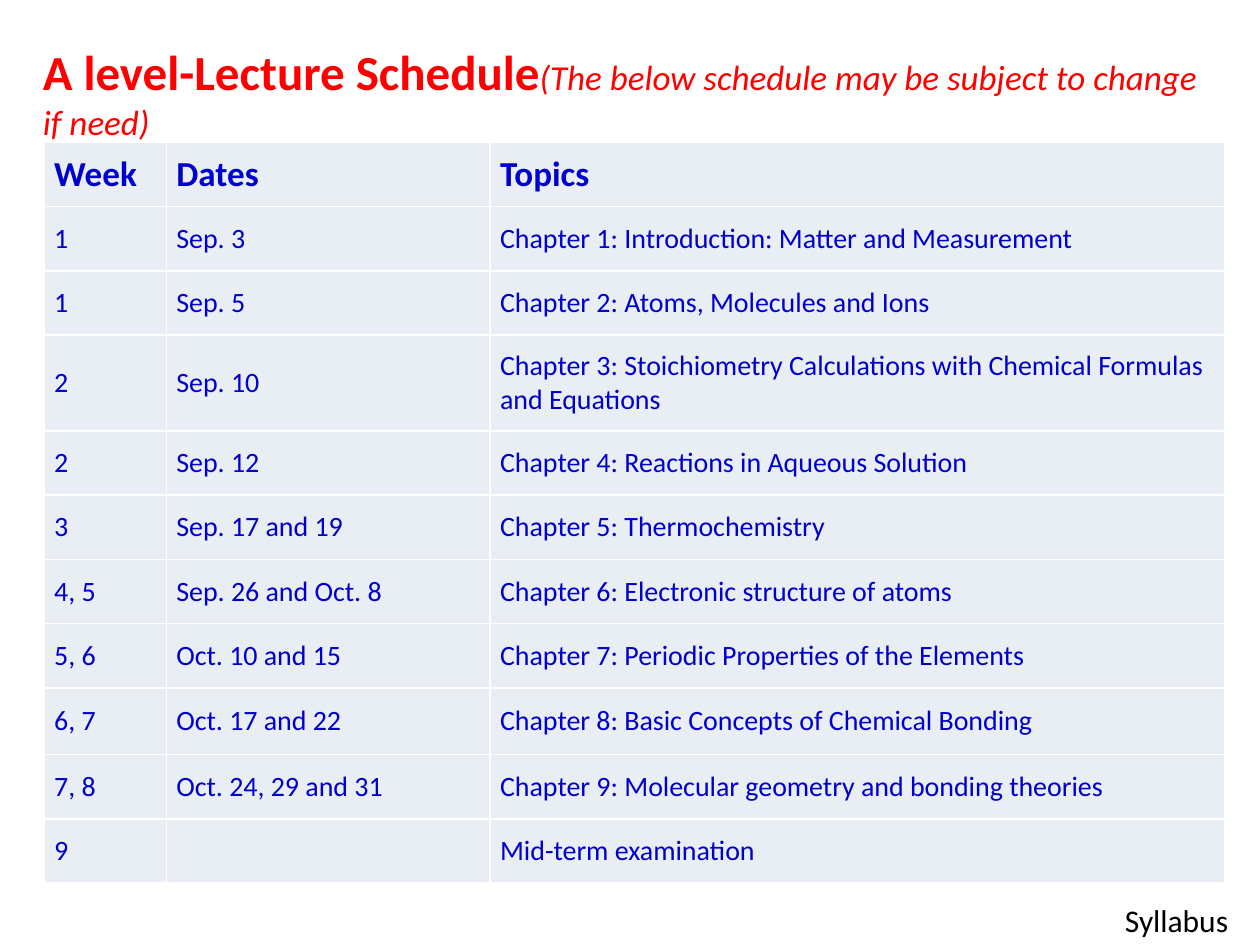
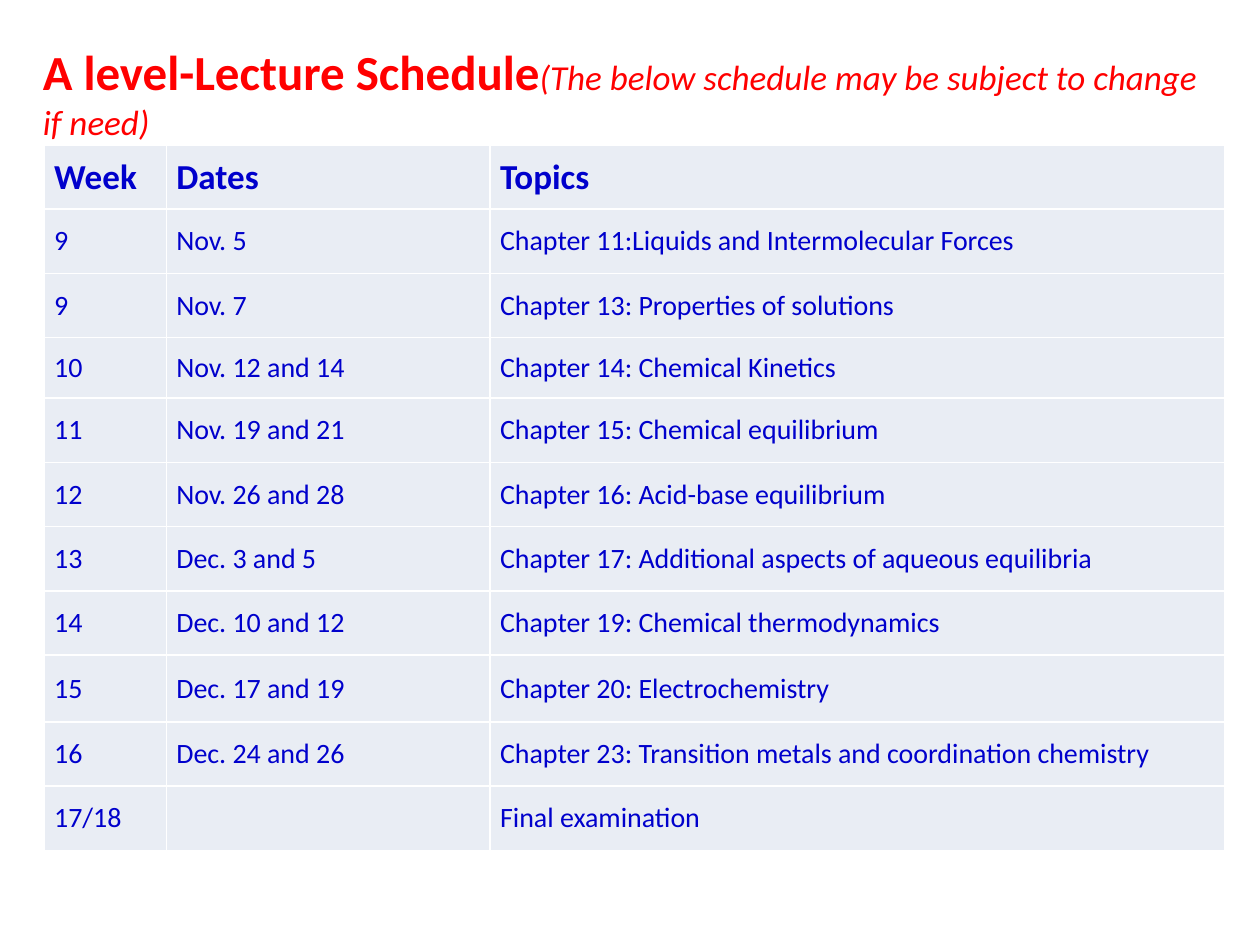
import pptx
import pptx.dml.color
import pptx.enum.text
import pptx.oxml
import pptx.oxml.ns
import pptx.util

PX = 9144  # 100 px to the inch
FONT = "Calibri"
COLORS = {
    "heading": "FF0000",
    "entry": "0000CC",
    "cell": "E9EDF4",
    "grid": "FFFFFF",
    "label": "000000",
}
TITLE_LAYOUT = 5
TITLE_BOX = (24, 28, 937, 138)
LABEL_BOX = (883, 710, 103, 40)
COLUMN_WIDTHS = (97, 257, 583)
ROW_HEIGHT = 51
CELL_INSET = 8
GRID_WIDTH = pptx.util.Pt(1)

HEADINGS = ("Week", "Dates", "Topics")
FIRST_HALF = [
    ("1", "Sep. 3", "Chapter 1: Introduction: Matter and Measurement"),
    ("1", "Sep. 5", "Chapter 2: Atoms, Molecules and Ions"),
    ("2", "Sep. 10", "Chapter 3: Stoichiometry Calculations with Chemical Formulas and Equations"),
    ("2", "Sep. 12", "Chapter 4: Reactions in Aqueous Solution"),
    ("3", "Sep. 17 and 19", "Chapter 5: Thermochemistry"),
    ("4, 5", "Sep. 26 and Oct. 8", "Chapter 6: Electronic structure of atoms"),
    ("5, 6", "Oct. 10 and 15", "Chapter 7: Periodic Properties of the Elements"),
    ("6, 7", "Oct. 17 and 22", "Chapter 8: Basic Concepts of Chemical Bonding"),
    ("7, 8", "Oct. 24, 29 and 31", "Chapter 9: Molecular geometry and bonding theories"),
    ("9", "", "Mid-term examination"),
]
SECOND_HALF = [
    ("9", "Nov. 5", "Chapter 11:Liquids and Intermolecular Forces"),
    ("9", "Nov. 7", "Chapter 13: Properties of solutions"),
    ("10", "Nov. 12 and 14", "Chapter 14: Chemical Kinetics"),
    ("11", "Nov. 19 and 21", "Chapter 15: Chemical equilibrium"),
    ("12", "Nov. 26 and 28", "Chapter 16: Acid-base equilibrium"),
    ("13", "Dec. 3 and 5", "Chapter 17: Additional aspects of aqueous equilibria"),
    ("14", "Dec. 10 and 12", "Chapter 19: Chemical thermodynamics"),
    ("15", "Dec. 17 and 19", "Chapter 20: Electrochemistry"),
    ("16", "Dec. 24 and 26", "Chapter 23: Transition metals and coordination chemistry"),
    ("17/18", "", "Final examination"),
]


def px(length):
    return pptx.util.Emu(length * PX)


def rgb(name):
    return pptx.dml.color.RGBColor.from_string(COLORS[name])


def format_run(run, size, color, bold=False, italic=False):
    run.font.name = FONT
    run.font.size = pptx.util.Pt(size)
    run.font.color.rgb = rgb(color)
    run.font.bold = bold
    run.font.italic = italic


def add_title(slide, box):
    title = slide.shapes.title
    title.left, title.top, title.width, title.height = map(px, box)
    frame = title.text_frame
    frame.word_wrap = True
    frame.auto_size = pptx.enum.text.MSO_AUTO_SIZE.NONE
    frame.vertical_anchor = pptx.enum.text.MSO_ANCHOR.TOP
    heading = frame.paragraphs[0]
    heading.alignment = pptx.enum.text.PP_ALIGN.LEFT
    name, caveat = heading.add_run(), heading.add_run()
    name.text = "A level-Lecture Schedule"
    caveat.text = "(The below schedule may be subject to change if need)"
    format_run(name, 28, "heading", bold=True)
    format_run(caveat, 20, "heading", italic=True)


def add_borders(cell):
    """Draw the grid line on all four sides; must precede the cell's fill."""
    properties = cell._tc.get_or_add_tcPr()
    for side in ("lnL", "lnR", "lnT", "lnB"):
        properties.append(pptx.oxml.parse_xml(
            f'<a:{side} {pptx.oxml.ns.nsdecls("a")} w="{GRID_WIDTH}"><a:solidFill>'
            f'<a:srgbClr val="{COLORS["grid"]}"/></a:solidFill></a:{side}>'))


def fill_cell(cell, entry, is_heading):
    add_borders(cell)
    cell.fill.solid()
    cell.fill.fore_color.rgb = rgb("cell")
    cell.vertical_anchor = pptx.enum.text.MSO_ANCHOR.MIDDLE
    cell.margin_left = cell.margin_right = px(CELL_INSET)
    cell.margin_top = cell.margin_bottom = 0
    cell.text_frame.text = entry
    for run in cell.text_frame.paragraphs[0].runs:
        format_run(run, 20 if is_heading else 16, "entry", bold=is_heading)


def add_schedule(slide, left, top, lectures, special_heights):
    """special_heights maps a row number to a height other than ROW_HEIGHT."""
    entries = [HEADINGS, *lectures]
    heights = [special_heights.get(row, ROW_HEIGHT) for row in range(len(entries))]
    schedule = slide.shapes.add_table(
        len(entries), len(HEADINGS), px(left), px(top),
        px(sum(COLUMN_WIDTHS)), px(sum(heights))).table
    schedule.first_row = schedule.horz_banding = False
    for column, width in zip(schedule.columns, COLUMN_WIDTHS):
        column.width = px(width)
    for number, (row, height, texts) in enumerate(zip(schedule.rows, heights, entries)):
        row.height = px(height)
        for cell, entry in zip(row.cells, texts):
            fill_cell(cell, entry, is_heading=number == 0)


def add_section_label(slide, box, wording):
    label = slide.shapes.add_textbox(*map(px, box)).text_frame
    label.word_wrap = False
    label.auto_size = pptx.enum.text.MSO_AUTO_SIZE.SHAPE_TO_FIT_TEXT
    label.text = wording
    format_run(label.paragraphs[0].runs[0], 18, "label")


def add_schedule_slide(deck, table_top, lectures, special_heights):
    slide = deck.slides.add_slide(deck.slide_layouts[TITLE_LAYOUT])
    add_title(slide, TITLE_BOX)
    add_schedule(slide, 35, table_top, lectures, special_heights)
    return slide


def main():
    deck = pptx.Presentation()
    deck.slide_width, deck.slide_height = px(1000), px(750)
    opening = add_schedule_slide(deck, 113, FIRST_HALF, {3: 76, 8: 53})
    add_section_label(opening, LABEL_BOX, "Syllabus")
    add_schedule_slide(deck, 115, SECOND_HALF, {3: 48, 8: 53})
    deck.save("out.pptx")


if __name__ == "__main__":
    main()
